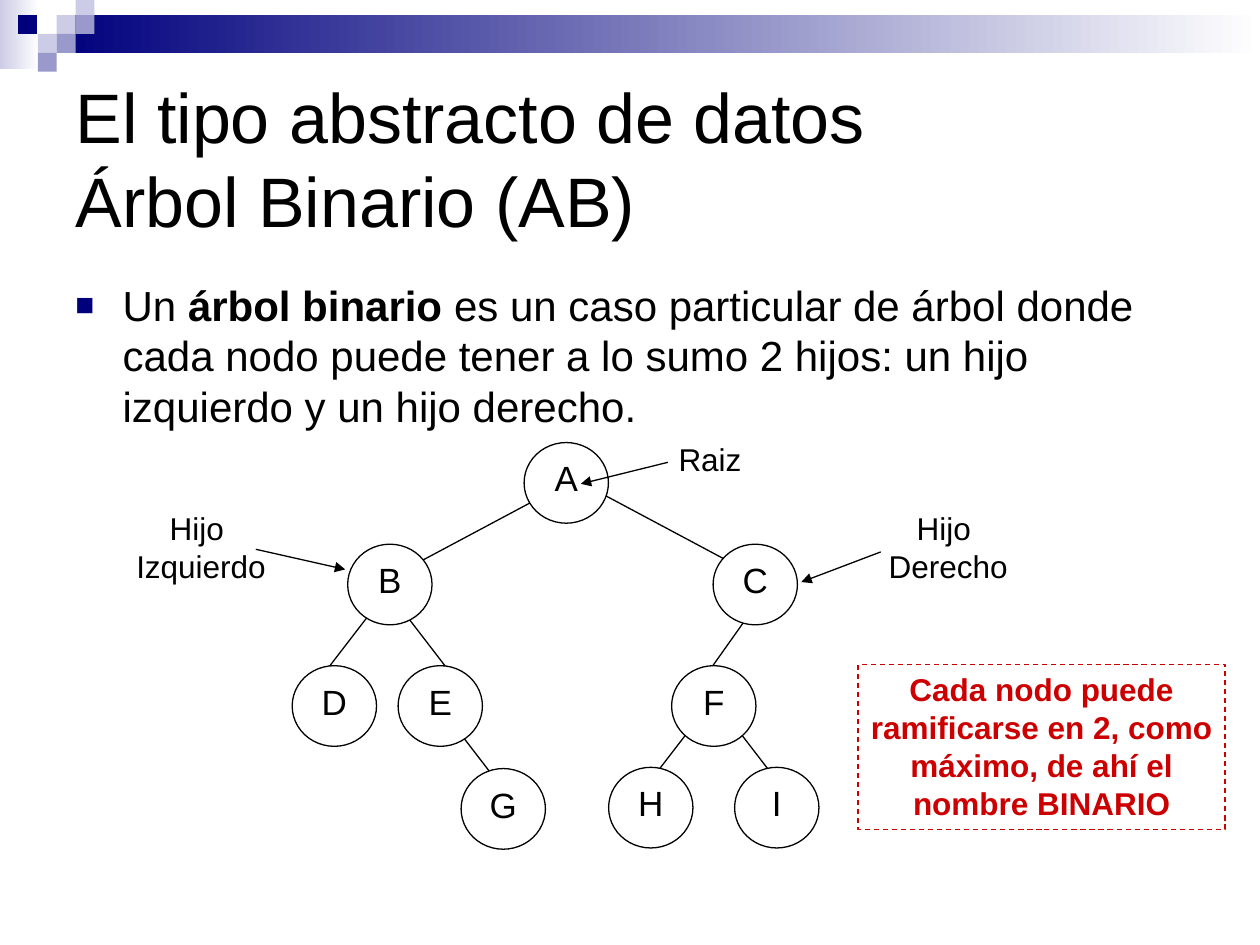
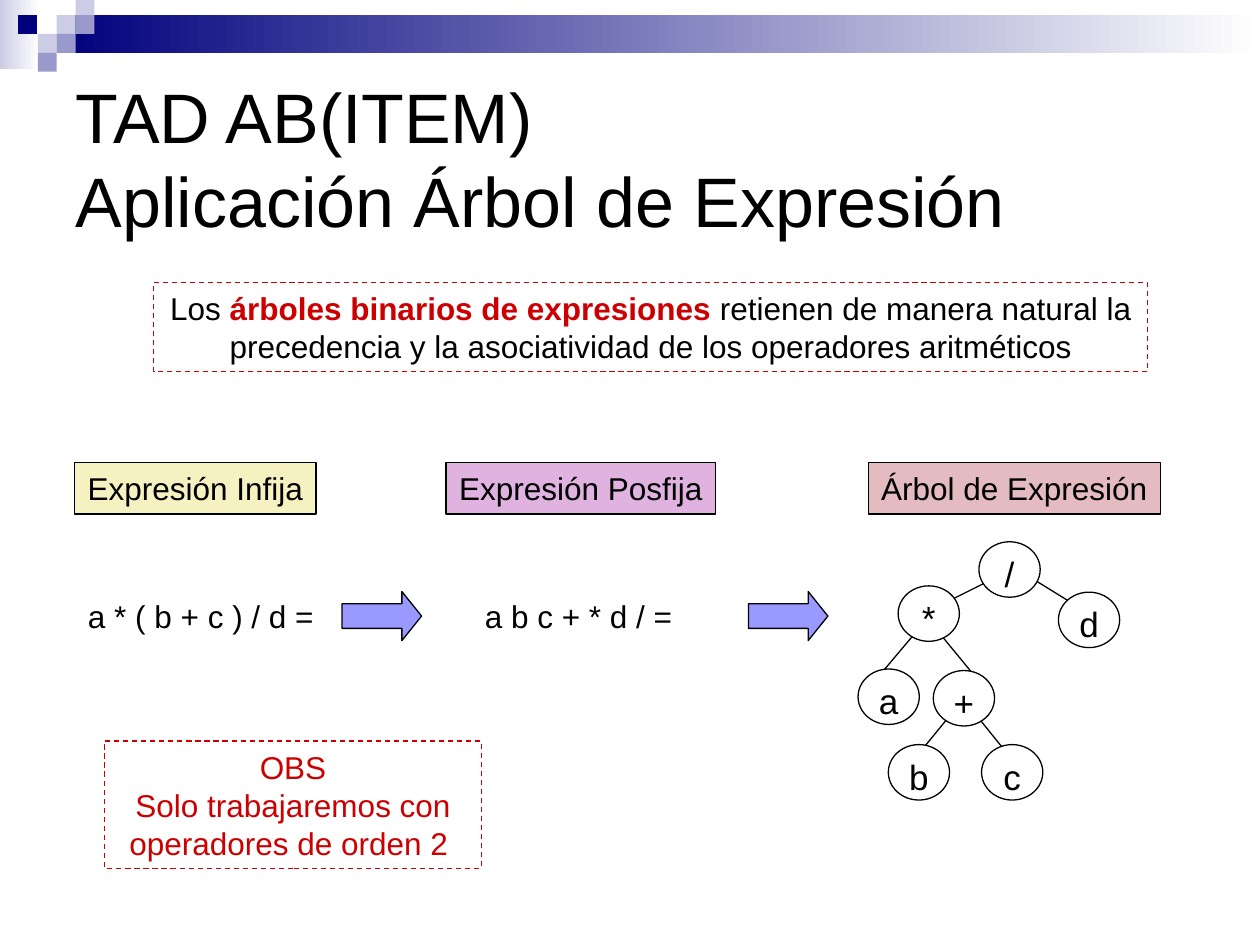
from dataclasses import dataclass

from lxml import etree
from pptx import Presentation
from pptx import util as u
from pptx.dml import color
from pptx.enum import dml, shapes, text
from pptx.oxml import ns

Pt = u.Pt
Point = tuple[float, float]
Box = tuple[float, float, float, float]


@dataclass(frozen=True)
class Theme:
    font: str = "Arial"
    ink: str = "000000"
    paper: str = "FFFFFF"
    accent: str = "CC0000"
    navy: str = "00007D"
    lilac: str = "9999CC"
    mist: str = "CCCCE6"
    arrow: str = "9999FF"
    infix: str = "E2D130"
    postfix: str = "990099"
    tree: str = "AC2037"
    title_size: float = 40
    body_size: float = 24
    node_size: float = 20
    label_size: float = 18
    line_width: float = 0.75


THEME = Theme()


@dataclass(frozen=True)
class Run:
    words: str
    ink: str = THEME.ink
    bold: bool = False


@dataclass(frozen=True)
class Block:
    box: Box
    paragraphs: list[list[Run]]
    size: float = THEME.label_size
    centred: bool = True
    wrap: bool = True
    middle: bool = False
    fill: str | None = None
    alpha: int | None = None
    border: str | None = None
    dashed: bool = False


@dataclass(frozen=True)
class Node:
    label: str
    left: float
    top: float


@dataclass(frozen=True)
class Tree:
    node_width: float
    node_height: float
    nodes: list[Node]
    edges: list[tuple[Point, Point]]


@dataclass(frozen=True)
class Pointer:
    label: Block
    start: Point
    end: Point


def rgb(value: str) -> color.RGBColor:
    return color.RGBColor.from_string(value)


def add_xml(parent, tag: str, **attributes: str):
    return etree.SubElement(parent, ns.qn(tag), attributes)


def write_run(paragraph, run: Run, size: float) -> None:
    item = paragraph.add_run()
    item.text = run.words
    item.font.name = THEME.font
    item.font.size = Pt(size)
    item.font.bold = run.bold
    item.font.color.rgb = rgb(run.ink)


def write_paragraphs(frame, paragraphs: list[list[Run]], size: float, centred: bool) -> None:
    for index, runs in enumerate(paragraphs):
        paragraph = frame.add_paragraph() if index else frame.paragraphs[0]
        paragraph.alignment = text.PP_ALIGN.CENTER if centred else text.PP_ALIGN.LEFT
        for run in runs:
            write_run(paragraph, run, size)


def draw_shape(slide, kind, box: Box, fill: str | None = None, border: str | None = None):
    shape = slide.shapes.add_shape(kind, *map(Pt, box))
    shape.shadow.inherit = False
    if fill:
        shape.fill.solid()
        shape.fill.fore_color.rgb = rgb(fill)
    else:
        shape.fill.background()
    if border:
        shape.line.color.rgb = rgb(border)
        shape.line.width = Pt(THEME.line_width)
    else:
        shape.line.fill.background()
    return shape


def draw_block(slide, block: Block):
    if block.border:
        shape = draw_shape(slide, shapes.MSO_SHAPE.RECTANGLE, block.box, block.fill, block.border)
    else:
        shape = slide.shapes.add_textbox(*map(Pt, block.box))
    if block.dashed:
        shape.line.dash_style = dml.MSO_LINE.DASH
    if block.alpha:
        solid = shape.element.spPr.find(ns.qn("a:solidFill"))
        add_xml(solid[0], "a:alpha", val=str(block.alpha * 1000))
    frame = shape.text_frame
    frame.word_wrap = block.wrap
    frame.vertical_anchor = text.MSO_ANCHOR.MIDDLE if block.middle else text.MSO_ANCHOR.TOP
    write_paragraphs(frame, block.paragraphs, block.size, block.centred)
    return shape


def draw_line(slide, start: Point, end: Point, arrow: bool = False) -> None:
    line = slide.shapes.add_connector(shapes.MSO_CONNECTOR.STRAIGHT, *map(Pt, start + end))
    line.line.color.rgb = rgb(THEME.ink)
    line.line.width = Pt(THEME.line_width)
    properties = line.element.spPr
    if arrow:
        add_xml(properties.find(ns.qn("a:ln")), "a:tailEnd", type="triangle")
    add_xml(properties, "a:effectLst")


def draw_tree(slide, tree: Tree) -> None:
    for start, end in tree.edges:
        draw_line(slide, start, end)
    for node in tree.nodes:
        box = (node.left, node.top, tree.node_width, tree.node_height)
        shape = draw_shape(slide, shapes.MSO_SHAPE.OVAL, box, THEME.paper, THEME.ink)
        frame = shape.text_frame
        frame.word_wrap = False
        frame.vertical_anchor = text.MSO_ANCHOR.TOP
        frame.margin_left = frame.margin_right = frame.margin_bottom = 0
        frame.margin_top = Pt(1.5)
        write_paragraphs(frame, [[Run(node.label)]], THEME.node_size, True)


def draw_pointer(slide, pointer: Pointer) -> None:
    draw_block(slide, pointer.label)
    draw_line(slide, pointer.start, pointer.end, arrow=True)


def draw_header(slide) -> None:
    bands = [((0, -2.2, 22.3, 41.8), THEME.mist), ((32.4, 8.6, 687.6, 21.6), THEME.navy)]
    for box, start in bands:
        band = draw_shape(slide, shapes.MSO_SHAPE.RECTANGLE, box, start)
        band.fill.gradient()
        band.fill.gradient_angle = 0
        for stop, value in zip(band.fill.gradient_stops, (start, THEME.paper)):
            stop.color.rgb = rgb(value)
    side = 10.8
    squares = [
        (32.4, 8.6, THEME.mist), (43.2, -2.2, THEME.mist), (43.2, 8.6, THEME.lilac),
        (21.6, 19.4, THEME.mist), (10.3, 8.6, THEME.navy), (32.4, 19.4, THEME.lilac),
        (21.6, 30.2, THEME.lilac),
    ]
    for left, top, fill in squares:
        draw_shape(slide, shapes.MSO_SHAPE.RECTANGLE, (left, top, side, side), fill)


def add_slide(presentation, title_lines: list[str]):
    slide = presentation.slides.add_slide(presentation.slide_layouts[5])
    draw_header(slide)
    title = slide.shapes.title
    title.left, title.top, title.width, title.height = map(Pt, (36, 36, 648, 108))
    frame = title.text_frame
    frame.auto_size = text.MSO_AUTO_SIZE.NONE
    frame.vertical_anchor = text.MSO_ANCHOR.MIDDLE
    paragraph = frame.paragraphs[0]
    paragraph.alignment = text.PP_ALIGN.LEFT
    for index, line in enumerate(title_lines):
        if index:
            paragraph.add_line_break()
        write_run(paragraph, Run(line), THEME.title_size)
    return slide


def draw_bullet(slide, block: Block) -> None:
    paragraph = draw_block(slide, block).text_frame.paragraphs[0]
    paragraph.space_before = Pt(4.8)
    properties = paragraph._p.get_or_add_pPr()
    properties.set("marL", str(Pt(27)))
    properties.set("indent", str(-Pt(27)))
    add_xml(add_xml(properties, "a:buClr"), "a:srgbClr", val=THEME.navy)
    add_xml(properties, "a:buSzPct", val="75000")
    add_xml(properties, "a:buFont", typeface=THEME.font)
    add_xml(properties, "a:buChar", char="■")


def build_binary_tree(presentation) -> None:
    slide = add_slide(presentation, ["El tipo abstracto de datos ", "Árbol Binario (AB)"])
    definition = [
        Run("Un "),
        Run("árbol binario", bold=True),
        Run(" es un caso particular de árbol donde cada nodo puede tener a lo sumo 2 hijos: "
            "un hijo izquierdo y un hijo derecho."),
    ]
    draw_bullet(slide, Block((36, 156.2, 648, 306), [definition], THEME.body_size, centred=False))
    draw_tree(slide, Tree(
        48.2, 46.1,
        [
            Node("A", 299.5, 252.9), Node("B", 198.7, 311), Node("C", 407.5, 311),
            Node("D", 167, 380.4), Node("E", 227.5, 380.4), Node("F", 383.8, 380.4),
            Node("G", 263.5, 439.2), Node("H", 347.8, 438.5), Node("I", 419.8, 438.5),
        ],
        [
            ((323.3, 276.5), (215.3, 334.1)), ((311.8, 265), (419.8, 322.6)),
            ((215.3, 345.6), (179.3, 392.4)), ((227.5, 345.6), (263.5, 392.4)),
            ((432, 345.6), (407.5, 380.2)), ((251.3, 403.9), (287.3, 450.7)),
            ((395.3, 415.4), (359.3, 462.2)), ((419.8, 414.7), (455.8, 461.5)),
        ],
    ))
    pointers = [
        Pointer(Block((70.6, 287.3, 88.6, 50.4), [[Run("Hijo ")], [Run("Izquierdo")]], wrap=False),
                (146.2, 313.9), (197.3, 325.4)),
        Pointer(Block((500.4, 287.3, 82.8, 50.4), [[Run("Hijo ")], [Run("Derecho")]], wrap=False),
                (503.3, 315.4), (457.9, 332.6)),
        Pointer(Block((371.5, 247.7, 68.4, 28.8), [[Run("Raiz")]]),
                (381.6, 264.2), (331.9, 276.5)),
    ]
    for pointer in pointers:
        draw_pointer(slide, pointer)
    reason = Run("Cada nodo puede ramificarse en 2, como máximo, de ahí el nombre BINARIO",
                 THEME.accent, True)
    draw_block(slide, Block((490.3, 379.6, 209.8, 94.3), [[reason]],
                            border=THEME.accent, dashed=True))


def build_expression_tree(presentation) -> None:
    slide = add_slide(presentation, ["TAD AB(ITEM) ", "Aplicación Árbol de Expresión"])
    summary = [
        Run("Los "),
        Run("árboles binarios de expresiones ", THEME.accent, True),
        Run("retienen de manera natural la precedencia y la asociatividad "
            "de los operadores aritméticos"),
    ]
    draw_block(slide, Block((87.8, 161.3, 568.1, 51.1), [summary], middle=True,
                            border=THEME.accent, dashed=True))
    headings = [
        ("Expresión Infija", 42.5, 138.2, THEME.infix),
        ("Expresión Posfija", 254.9, 154.1, THEME.postfix),
        ("Árbol de Expresión", 496.1, 167, THEME.tree),
    ]
    for words, left, width, fill in headings:
        draw_block(slide, Block((left, 264.2, width, 29.5), [[Run(words)]], wrap=False,
                                fill=fill, alpha=30, border=THEME.ink))
    expressions = [(" a * ( b + c ) / d =", 38.2, 148.3), (" a b c + * d / =", 265, 126.7)]
    for words, left, width in expressions:
        draw_block(slide, Block((left, 337.7, width, 28.8), [[Run(words)]],
                                centred=False, wrap=False))
    for left in (195.5, 427.7):
        arrow = draw_shape(slide, shapes.MSO_SHAPE.RIGHT_ARROW, (left, 338, 45.4, 28.1),
                           THEME.arrow, THEME.ink)
        arrow.adjustments[0], arrow.adjustments[1] = 0.5, 0.4
    draw_tree(slide, Tree(
        35, 31.7,
        [
            Node("/", 559.4, 309.6), Node("*", 513.2, 334.8), Node("d", 604.8, 338.4),
            Node("a", 490.3, 382.3), Node("+", 533.3, 383.2), Node("b", 507.6, 425.5),
            Node("c", 560.9, 425.5),
        ],
        [
            ((575.3, 326.9), (542.2, 343.4)), ((565.2, 315.4), (610.6, 343.4)),
            ((525.6, 358.6), (499, 390.2)), ((534.2, 358.6), (560.2, 390.2)),
            ((542.2, 409.7), (516.2, 441.4)), ((555.8, 406.1), (579.6, 435.6)),
        ],
    ))
    note = ["OBS", "Solo trabajaremos con operadores de orden 2 "]
    draw_block(slide, Block((59.8, 423.4, 215.3, 72.7), [[Run(line, THEME.accent)] for line in note],
                            middle=True, border=THEME.accent, dashed=True))


def main() -> None:
    presentation = Presentation()
    presentation.slide_width, presentation.slide_height = Pt(720), Pt(540)
    build_binary_tree(presentation)
    build_expression_tree(presentation)
    presentation.save("out.pptx")


if __name__ == "__main__":
    main()
